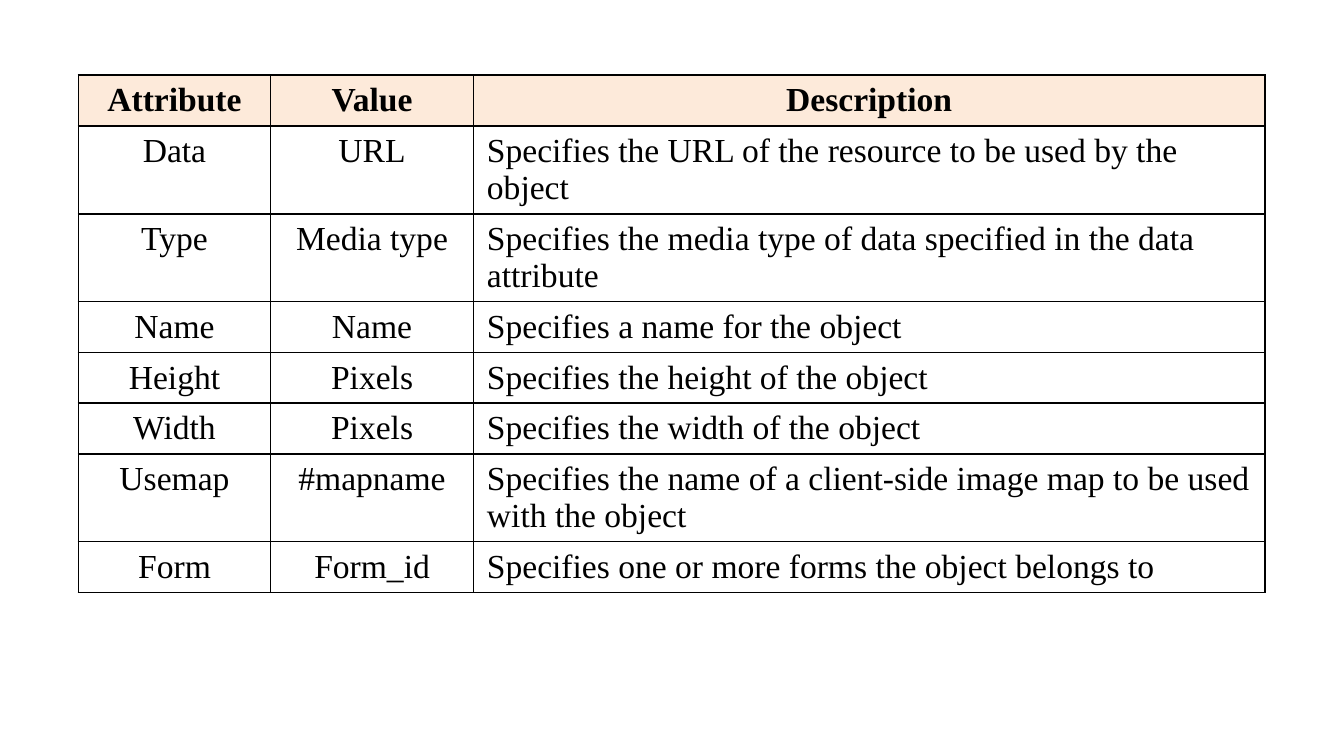
"""Build a slide with a table of the attributes of the HTML object element."""
from typing import NamedTuple

from lxml.etree import SubElement
from pptx import Presentation
from pptx.dml.color import RGBColor
from pptx.enum.text import PP_ALIGN
from pptx.oxml.ns import qn
from pptx.slide import Slide
from pptx.table import _Cell
from pptx.util import Pt

BLACK = RGBColor(0x00, 0x00, 0x00)
PEACH = RGBColor(0xFD, 0xEA, 0xDA)

LEFT, TOP = Pt(42), Pt(40.3)
COLUMN_WIDTHS = (Pt(103), Pt(108.7), Pt(424))
ROW_HEIGHT, FIRST_ENTRY_HEIGHT = Pt(23), Pt(40.3)
BORDER_WIDTH = Pt(1)
TEXT_FORMAT = {"name": "Times New Roman", "size": Pt(18)}


class AttributeRow(NamedTuple):
    attribute: str
    value: str
    description: str


HEADING = AttributeRow("Attribute", "Value", "Description")
ENTRIES = (
    AttributeRow("Data", "URL", "Specifies the URL of the resource to be used by the object"),
    AttributeRow("Type", "Media type", "Specifies the media type of data specified in the data attribute"),
    AttributeRow("Name", "Name", "Specifies a name for the object"),
    AttributeRow("Height", "Pixels", "Specifies the height of the object"),
    AttributeRow("Width", "Pixels", "Specifies the width of the object"),
    AttributeRow("Usemap", "#mapname", "Specifies the name of a client-side image map to be used with the object"),
    AttributeRow("Form", "Form_id", "Specifies one or more forms the object belongs to"),
)


def add_borders(cell: _Cell) -> None:
    properties = cell._tc.get_or_add_tcPr()
    for side in ("a:lnL", "a:lnR", "a:lnT", "a:lnB"):
        border = SubElement(properties, qn(side), w=str(BORDER_WIDTH))
        fill = SubElement(border, qn("a:solidFill"))
        SubElement(fill, qn("a:srgbClr"), val=str(BLACK))


def fill_cell(cell: _Cell, wording: str, heading: bool, centred: bool) -> None:
    add_borders(cell)
    if heading:
        cell.fill.solid()
        cell.fill.fore_color.rgb = PEACH
    else:
        cell.fill.background()
    paragraph = cell.text_frame.paragraphs[0]
    paragraph.alignment = PP_ALIGN.CENTER if centred else PP_ALIGN.LEFT
    run = paragraph.add_run()
    run.text = wording
    for name, setting in {**TEXT_FORMAT, "bold": heading}.items():
        setattr(run.font, name, setting)
    run.font.color.rgb = BLACK


def add_attribute_table(slide: Slide, rows: tuple[AttributeRow, ...]) -> None:
    heights = [ROW_HEIGHT] * len(rows)
    heights[1] = FIRST_ENTRY_HEIGHT
    table = slide.shapes.add_table(
        len(rows), len(COLUMN_WIDTHS), LEFT, TOP, sum(COLUMN_WIDTHS), sum(heights)
    ).table
    table.horz_banding = False
    for column, width in zip(table.columns, COLUMN_WIDTHS):
        column.width = width
    for row_index, (entry, height) in enumerate(zip(rows, heights)):
        table.rows[row_index].height = height
        heading = row_index == 0
        for field, wording in zip(entry._fields, entry):
            cell = table.cell(row_index, entry._fields.index(field))
            fill_cell(cell, wording, heading, heading or field != "description")


def main() -> None:
    presentation = Presentation()
    presentation.slide_width, presentation.slide_height = Pt(720), Pt(405)
    slide = presentation.slides.add_slide(presentation.slide_layouts[6])
    add_attribute_table(slide, (HEADING, *ENTRIES))
    presentation.save("out.pptx")


if __name__ == "__main__":
    main()
